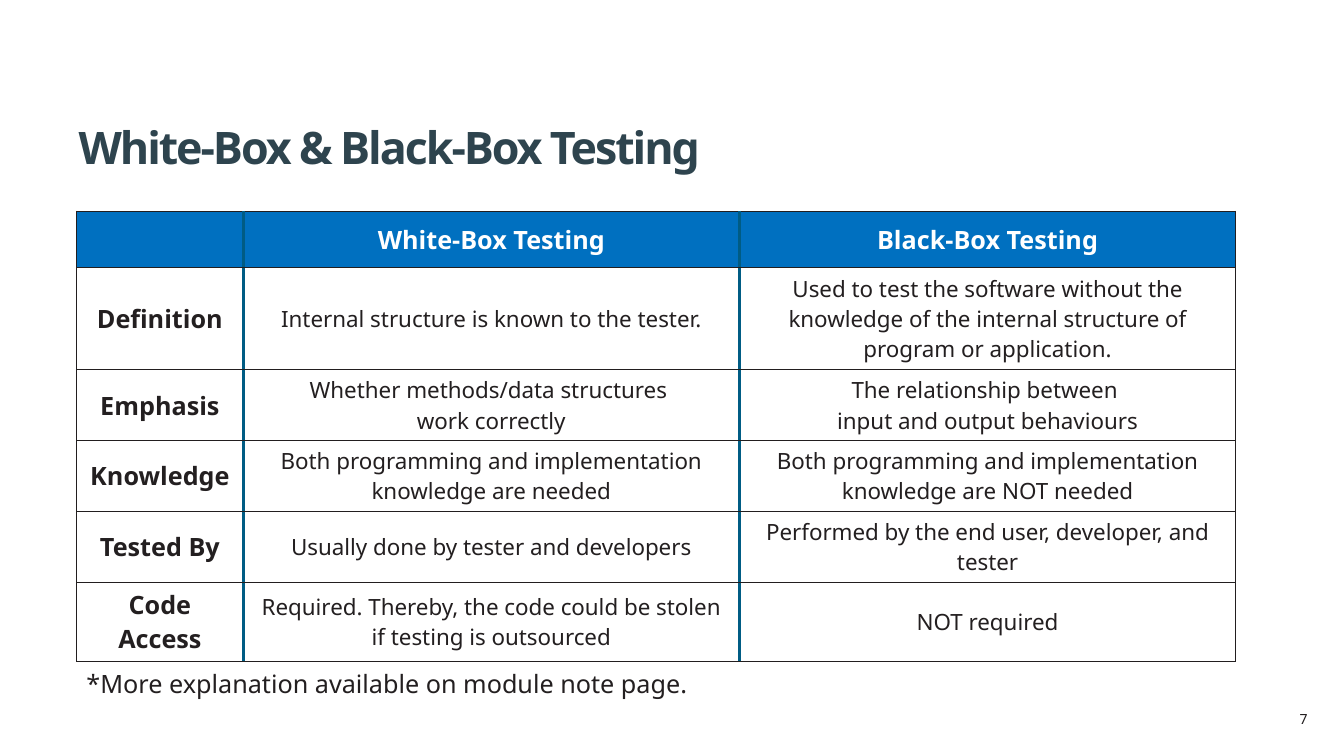
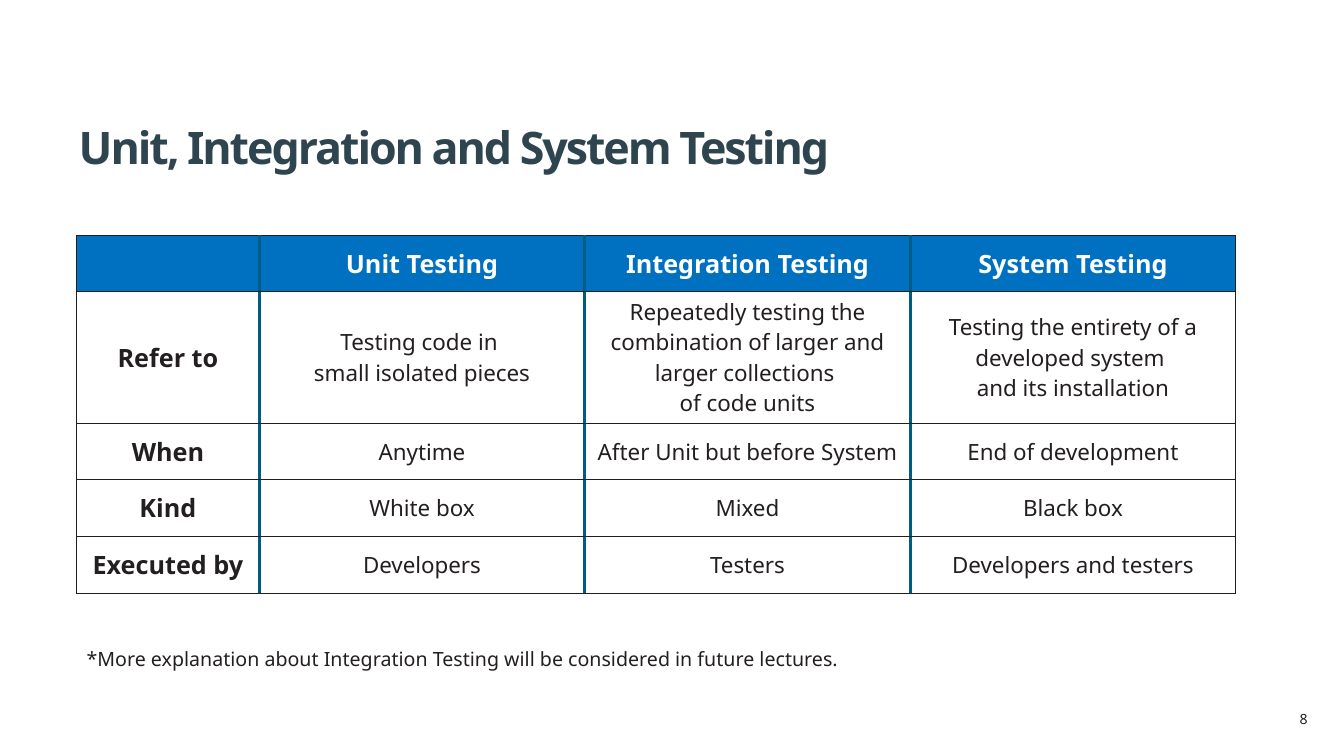
from dataclasses import dataclass

from lxml import etree
from pptx import Presentation
from pptx.dml.color import RGBColor
from pptx.enum.text import MSO_ANCHOR, MSO_AUTO_SIZE, PP_ALIGN
from pptx.oxml.ns import qn
from pptx.util import Pt

LEFT, CENTER, RIGHT = PP_ALIGN.LEFT, PP_ALIGN.CENTER, PP_ALIGN.RIGHT
MIDDLE, BOTTOM = MSO_ANCHOR.MIDDLE, MSO_ANCHOR.BOTTOM
FIXED = MSO_AUTO_SIZE.NONE
TITLE_ONLY = 5


@dataclass(frozen=True)
class Theme:
    font: str = "Noto Sans"
    # Colours
    title: str = "2E444E"
    ink: str = "231F20"
    white: str = "FFFFFF"
    head: str = "0070C0"
    grid: str = "221E1F"
    rule: str = "005C84"
    # Type sizes and letter spacing
    title_size: float = 32
    head_size: float = 18
    cell_size: float = 16
    page_size: float = 10
    title_gap: float = -1.5
    # Line widths
    thin: float = 0.75
    thick: float = 2.25
    # Table frame
    left: float = 54.7
    width: float = 828


THEME = Theme()

# Slide content: each table row is its height and its cells
BOXES = [
    (40.2, ["", "White-Box Testing", "Black-Box Testing"]),
    (73, ["Definition", "Internal structure is known to the tester.",
          "Used to test the software without the knowledge of the internal "
          "structure of program or application."]),
    (50.6, ["Emphasis", "Whether methods/data structures \vwork correctly",
            "The relationship between \vinput and output behaviours"]),
    (50.6, ["Knowledge",
            "Both programming and implementation knowledge are needed",
            "Both programming and implementation knowledge are NOT needed"]),
    (50.6, ["Tested By", "Usually done by tester and developers",
            "Performed by the end user, developer, and tester"]),
    (56.2, ["Code Access", "Required. Thereby, the code could be stolen if "
            "testing is outsourced", "NOT required"]),
]
LEVELS = [
    (40.2, ["", "Unit Testing", "Integration Testing", "System Testing"]),
    (94.2, ["Refer to", "Testing code in \vsmall isolated pieces",
            "Repeatedly testing the combination of larger and larger "
            "collections \vof code units",
            "Testing the entirety of a developed system "
            "\vand its installation"]),
    (40.4, ["When", "Anytime", "After Unit but before System",
            "End of development"]),
    (40.4, ["Kind", "White box", "Mixed", "Black box"]),
    (40.4, ["Executed by", "Developers", "Testers",
            "Developers and testers"]),
]


def write(frame, text, size, color, bold=False, align=LEFT):
    """Fill a text frame with one styled paragraph and return it."""
    frame.text = text
    para = frame.paragraphs[0]
    para.alignment = align
    font = para.font
    font.name, font.size, font.bold = THEME.font, Pt(size), bold
    font.color.rgb = RGBColor.from_string(color)
    return para


def add_title(slide, text):
    shape = slide.shapes.title
    shape.left, shape.top = Pt(49), Pt(54.7)
    shape.width, shape.height = Pt(854), Pt(73.5)
    frame = shape.text_frame
    frame.auto_size, frame.vertical_anchor = FIXED, BOTTOM
    frame.margin_bottom = Pt(4)
    para = write(frame, text, THEME.title_size, THEME.title, True)
    props = para._p.find(qn("a:pPr")).find(qn("a:defRPr"))
    props.set("spc", str(int(THEME.title_gap * 100)))


def add_text(slide, text, box, size, align=LEFT):
    shape = slide.shapes.add_textbox(*map(Pt, box))
    shape.text_frame.word_wrap = align == RIGHT
    write(shape.text_frame, text, size, THEME.ink, align=align)


def add_edge(cell, side, color, width):
    line = etree.SubElement(cell._tc.get_or_add_tcPr(), qn(f"a:ln{side}"),
                            w=str(Pt(width)))
    fill = etree.SubElement(line, qn("a:solidFill"))
    etree.SubElement(fill, qn("a:srgbClr"), val=color)


def style_cell(cell, text, head, label, last):
    # Thick rules between columns, thin lines elsewhere
    thin, thick = (THEME.grid, THEME.thin), (THEME.rule, THEME.thick)
    add_edge(cell, "L", *(thin if label else thick))
    add_edge(cell, "R", *(thin if last else thick))
    add_edge(cell, "T", *thin)
    add_edge(cell, "B", *thin)
    if head:
        cell.fill.solid()
        cell.fill.fore_color.rgb = RGBColor.from_string(THEME.head)
    else:
        cell.fill.background()
    cell.vertical_anchor = MIDDLE
    bold = head or label
    write(cell.text_frame, text, THEME.head_size if bold else THEME.cell_size,
          THEME.white if head else THEME.ink, bold, CENTER)


def add_grid(slide, rows, top, label_width):
    count = len(rows[0][1])
    total = sum(height for height, _ in rows)
    table = slide.shapes.add_table(
        len(rows), count, Pt(THEME.left), Pt(top), Pt(THEME.width),
        Pt(total)).table
    table.first_row = table.horz_banding = False
    # Label column first, the rest share the remaining width
    share = (THEME.width - label_width) / (count - 1)
    for i, col in enumerate(table.columns):
        col.width = Pt(share if i else label_width)
    for r, (height, cells) in enumerate(rows):
        table.rows[r].height = Pt(height)
        for c, text in enumerate(cells):
            style_cell(table.cell(r, c), text, r == 0, c == 0, c == count - 1)


def add_page(deck, number, title, rows, top, label_width, note, box, size):
    slide = deck.slides.add_slide(deck.slide_layouts[TITLE_ONLY])
    add_text(slide, str(number), (865.5, 504, 75.5, 19.5),
             THEME.page_size, RIGHT)
    add_title(slide, title)
    add_grid(slide, rows, top, label_width)
    add_text(slide, note, box, size)


def main():
    deck = Presentation()
    deck.slide_width, deck.slide_height = Pt(960), Pt(540)
    add_page(deck, 7, "White-Box & Black-Box Testing", BOXES, 151, 119,
             "*More explanation available on module note page.",
             (THEME.left, 473.8, 460, 29), 18)
    add_page(deck, 8, "Unit, Integration and System Testing", LEVELS, 168, 130.5,
             "*More explanation about Integration Testing will be considered "
             "in future lectures.",
             (THEME.left, 458.6, 574.5, 24.5), 14)
    deck.save("out.pptx")


if __name__ == "__main__":
    main()
